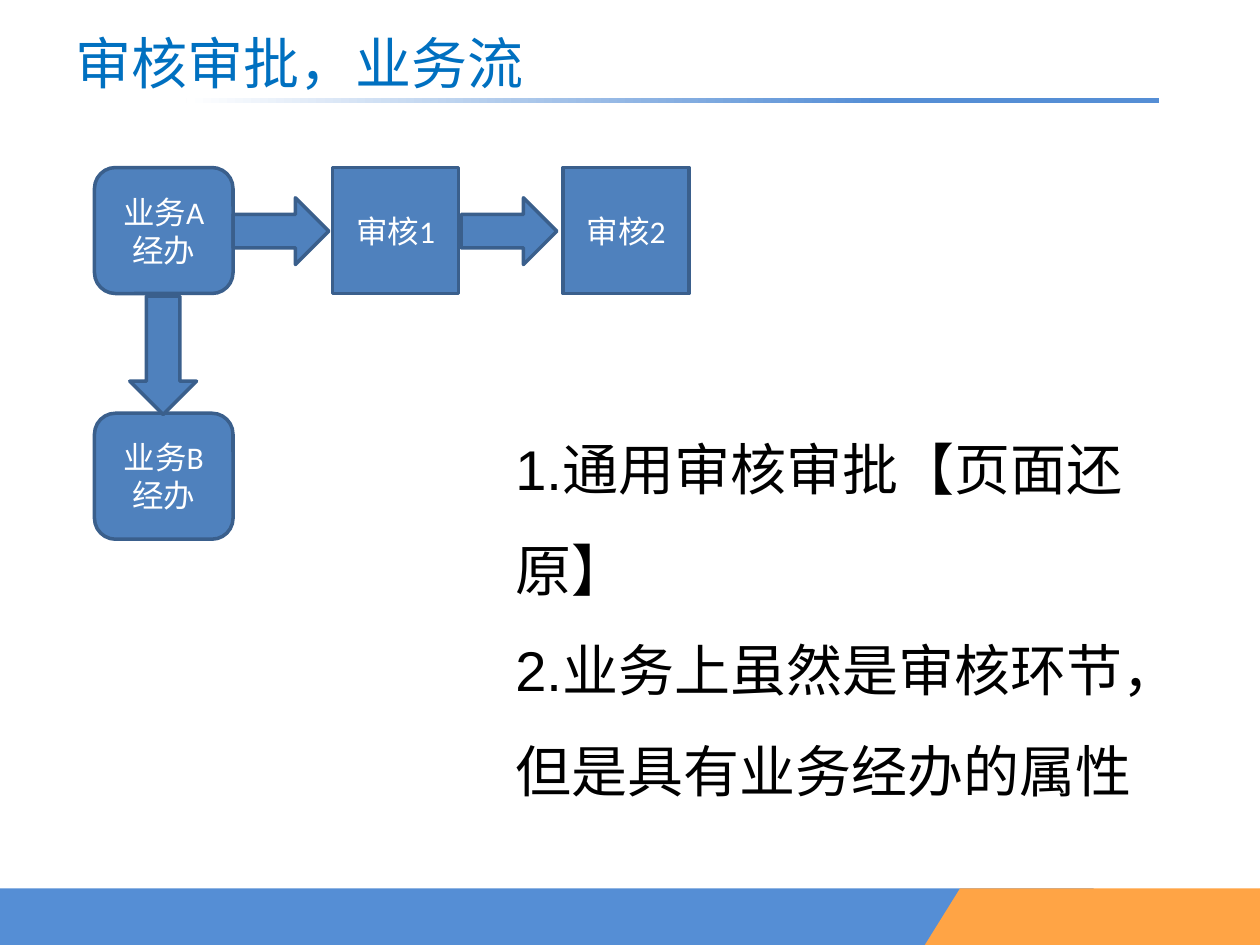
from lxml import etree
from pptx import Presentation
from pptx.dml.color import RGBColor
from pptx.enum.shapes import MSO_SHAPE
from pptx.enum.text import MSO_ANCHOR, MSO_AUTO_SIZE, PP_ALIGN
from pptx.oxml.ns import qn
from pptx.util import Inches, Pt

RECTANGLE = MSO_SHAPE.RECTANGLE
ROUNDED = MSO_SHAPE.ROUNDED_RECTANGLE
RIGHT_ARROW = MSO_SHAPE.RIGHT_ARROW
DOWN_ARROW = MSO_SHAPE.DOWN_ARROW
MIDDLE = MSO_ANCHOR.MIDDLE
TOP = MSO_ANCHOR.TOP
LEFT = PP_ALIGN.LEFT
CENTER = PP_ALIGN.CENTER
GROW = MSO_AUTO_SIZE.SHAPE_TO_FIT_TEXT
NO_FIT = MSO_AUTO_SIZE.NONE

WHITE = RGBColor(0xFF, 0xFF, 0xFF)
BLACK = RGBColor(0, 0, 0)
TITLE_BLUE = RGBColor(0x00, 0x70, 0xC0)
BAND_BLUE = RGBColor(0x55, 0x8E, 0xD5)
BAND_ORANGE = RGBColor(0xFF, 0xA4, 0x45)
STEP_BLUE = RGBColor(0x4F, 0x81, 0xBD)
STEP_EDGE = RGBColor(0x3A, 0x5F, 0x8C)
CJK_FONT = "Noto Sans CJK SC"


class FlowSlide:
    def __init__(self, slide):
        self.slide = slide
        self.shapes = slide.shapes

    def style_text(self, paragraph, font_name, size, color, align):
        paragraph.alignment = align
        for run in paragraph.runs:
            run.font.name = font_name
            run.font.size = Pt(size)
            run.font.color.rgb = color
            east_asian = etree.SubElement(run._r.get_or_add_rPr(), qn("a:ea"))
            east_asian.set("typeface", CJK_FONT)

    def block(self, kind, left, top, width, height, fill):
        block = self.shapes.add_shape(
            kind, Inches(left), Inches(top), Inches(width), Inches(height))
        block.shadow.inherit = False
        block.fill.solid()
        block.fill.fore_color.rgb = fill
        block.line.fill.background()
        return block

    def fading_rule(self, left, top, width, height):
        rule = self.block(RECTANGLE, left, top, width, height, BAND_BLUE)
        rule.fill.gradient()
        rule.fill.gradient_angle = 180
        stops = zip(rule.fill.gradient_stops, ((0.29, BAND_BLUE), (1, WHITE)))
        for stop, (position, color) in stops:
            stop.position = position
            stop.color.rgb = color

    def outline(self, points, fill):
        corners = [(Inches(x), Inches(y)) for x, y in points]
        builder = self.shapes.build_freeform(*corners[0])
        builder.add_line_segments(corners[1:], close=True)
        panel = builder.convert_to_shape()
        panel.shadow.inherit = False
        panel.fill.solid()
        panel.fill.fore_color.rgb = fill
        panel.line.fill.background()

    def flow_shape(self, kind, left, top, width, height, label=""):
        step = self.block(kind, left, top, width, height, STEP_BLUE)
        step.line.color.rgb = STEP_EDGE
        step.line.width = Pt(2)
        if label:
            step.text_frame.text = label
            step.text_frame.vertical_anchor = MIDDLE
            self.style_text(step.text_frame.paragraphs[0], "Calibri", 18, WHITE, CENTER)

    def place(self, placeholder, left, top, width, height, anchor, fit):
        placeholder.left, placeholder.top = Inches(left), Inches(top)
        placeholder.width, placeholder.height = Inches(width), Inches(height)
        frame = placeholder.text_frame
        frame.word_wrap = True
        frame.auto_size = fit
        frame.vertical_anchor = anchor
        self.shapes._spTree.append(placeholder._element)
        return frame

    def title(self, text, left, top, width, height):
        frame = self.place(self.shapes.title, left, top, width, height, MIDDLE, NO_FIT)
        frame.text = text
        self.style_text(frame.paragraphs[0], CJK_FONT, 32, TITLE_BLUE, LEFT)

    def numbered_points(self, points, left, top, width, height):
        body = self.slide.placeholders[1]
        frame = self.place(body, left, top, width, height, TOP, GROW)
        frame.text = "\n".join(points)
        for paragraph in frame.paragraphs:
            paragraph.line_spacing = 1.5
            paragraph.space_before = Pt(0)
            self.style_text(paragraph, "Arial", 32, BLACK, LEFT)
            properties = paragraph._p.get_or_add_pPr()
            properties.set("marL", "0")
            properties.set("indent", "0")
            etree.SubElement(properties, qn("a:buNone"))


def main():
    deck = Presentation()
    deck.slide_width, deck.slide_height = Inches(10), Inches(7.5)
    flow = FlowSlide(deck.slides.add_slide(deck.slide_layouts[1]))

    flow.block(RECTANGLE, 0, 7.05, 8.68, 0.45, BAND_BLUE)
    flow.fading_rule(1.48, 0.78, 7.72, 0.04)
    flow.outline([(7.62, 7.05), (10, 7.05), (10, 7.5), (7.34, 7.5)], BAND_ORANGE)

    for label, top in (("业务A经办", 1.33), ("业务B经办", 3.28)):
        flow.flow_shape(ROUNDED, 0.75, top, 1.1, 1, label)
    for label, left in (("审核1", 2.64), ("审核2", 4.47)):
        flow.flow_shape(RECTANGLE, left, 1.33, 1, 1, label)
    for left in (1.85, 3.66):
        flow.flow_shape(RIGHT_ARROW, left, 1.57, 0.76, 0.53)
    flow.flow_shape(DOWN_ARROW, 1.03, 2.35, 0.53, 0.94)

    flow.title("审核审批，业务流", 0.5, 0.13, 9, 0.72)
    flow.numbered_points(
        ["1.通用审核审批【页面还原】", "2.业务上虽然是审核环节，但是具有业务经办的属性"],
        3.99, 3.13, 5.48, 4.95)
    deck.save("out.pptx")


if __name__ == "__main__":
    main()
